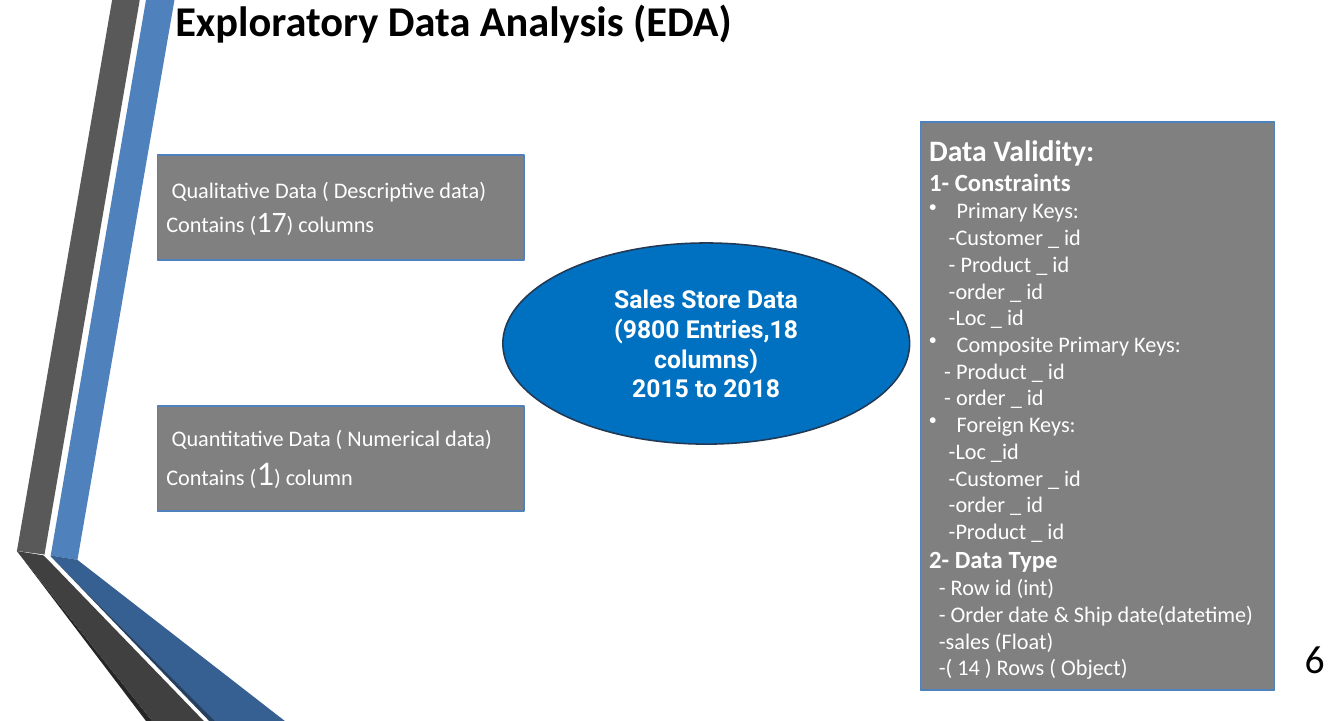
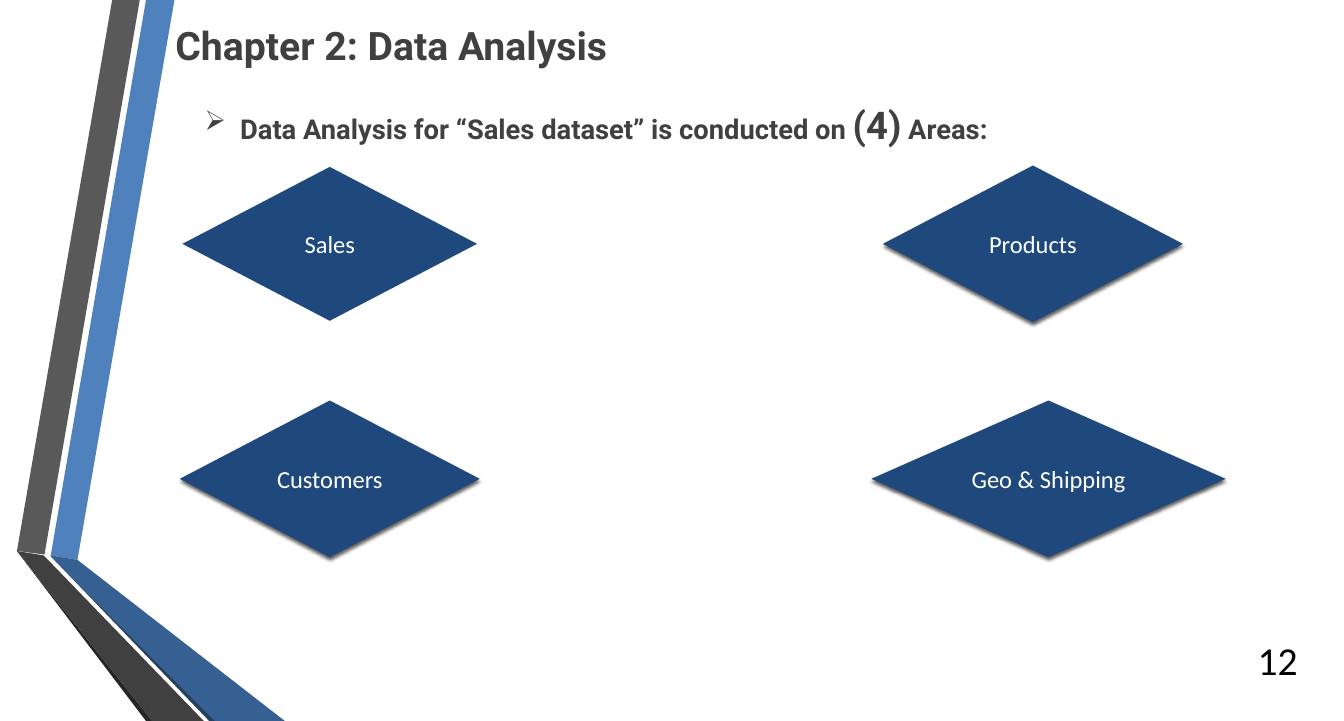
"""Build two slides on exploring and analysing a sales store dataset."""
from lxml.etree import SubElement
from pptx import Presentation
from pptx.dml.color import RGBColor
from pptx.enum.shapes import MSO_SHAPE
from pptx.enum.text import MSO_ANCHOR, PP_ALIGN
from pptx.oxml.ns import qn
from pptx.util import Inches, Pt

COLUMNS, ROWS = 151, 81
WHITE, BLACK, CHARCOAL = "FFFFFF", "000000", "404040"
GREY, BLUE, NAVY = "808080", "4F81BD", "1F497D"

RIBBONS = [
    (BLUE, [(5.7, 62.4), (8.7, 62.9), (19.6, 0), (16.4, 0)]),
    ("595959", [(15.7, 0), (12.6, 0), (1.9, 61.9), (5, 62.3)]),
    ("262626", [(1.9, 61.9), (16.4, ROWS), (17.1, ROWS)]),
    ("254061", [(5.7, 62.5), (23.5, ROWS), (24.2, ROWS)]),
    ("376092", [(5.7, 62.5), (24.2, ROWS), (32, ROWS), (8.7, 62.9), (5.7, 62.4)]),
    (CHARCOAL, [(22.9, ROWS), (5.5, 63), (4.9, 62.4), (1.9, 61.9), (17.1, ROWS)]),
]

VALIDITY_STYLES = {
    "title": dict(size=24, bold=True),
    "heading": dict(size=20, bold=True),
    "key": dict(margin=3.1, indent=-3.1, bullet="•"),
    "column": dict(margin=2.2),
    "part": dict(margin=1.7),
    "type": dict(margin=1.1),
}

VALIDITY = [
    ("title", ["Data Validity:"]),
    ("heading", ["1- Constraints"]),
    ("key", ["Primary Keys:"]),
    ("column", ["-Customer _ id", "- Product _ id", "-order _ id", "-Loc _ id"]),
    ("key", ["Composite Primary Keys:"]),
    ("part", ["- Product _ id", "- order _ id"]),
    ("key", ["Foreign Keys:"]),
    ("column", ["-Loc _id", "-Customer _ id", "-order _ id", "-Product _ id"]),
    ("heading", ["2- Data Type"]),
    ("type", ["- Row id (int)", "- Order date & Ship date(datetime)",
              "-sales (Float)", "-( 14 ) Rows ( Object)"]),
]

DATA_KINDS = [
    (17.4, "Qualitative Data ( Descriptive data) Contains (", "17", 24, ") columns"),
    (45.6, "Quantitative Data ( Numerical data) Contains (", "1", 28, ") column"),
]

AREAS = [
    ("Sales", 20.2, 18.6, 33.7, False),
    ("Customers", 20.2, 45, 33.7, True),
    ("Products", 99.2, 18.6, 33.7, True),
    ("Geo & Shipping", 97.9, 45, 39.8, True),
]


def grid(cells):
    """Turn grid columns or rows into a length."""
    return Inches(cells / 10)


def rgb(value):
    """Turn a hex string into a colour."""
    return RGBColor.from_string(value)


def write(frame, text, *, size=18, font="Calibri", color=WHITE, bold=False,
          align=PP_ALIGN.LEFT, margin=0, indent=0, bullet=None, join=False):
    """Add a formatted paragraph, or join a run to the last one."""
    paragraph = frame.paragraphs[-1]
    if not join:
        if paragraph.runs:
            paragraph = frame.add_paragraph()
        paragraph.alignment = align
        properties = paragraph._p.get_or_add_pPr()
        properties.set("marL", str(grid(margin)))
        properties.set("indent", str(grid(indent)))
        if bullet:
            SubElement(properties, qn("a:buChar"), char=bullet)
    run = paragraph.add_run()
    run.text = text
    run.font.size = Pt(size)
    run.font.name = font
    run.font.bold = bold
    run.font.color.rgb = rgb(color)


class Deck:
    """Hold the shared style and the current slide."""

    def __init__(self):
        """Start an empty presentation."""
        self.presentation = Presentation()
        self.presentation.slide_width = grid(COLUMNS)
        self.presentation.slide_height = grid(ROWS)
        self.slide = None

    def start(self, title, box, number, number_box, **style):
        """Open a slide with its title, ribbons and number."""
        layout = self.presentation.slide_layouts[5]
        self.slide = self.presentation.slides.add_slide(layout)
        heading = self.slide.shapes.title
        heading.left, heading.top, heading.width, heading.height = map(grid, box)
        frame = heading.text_frame
        frame.margin_left = frame.margin_top = frame.margin_bottom = 0
        frame.vertical_anchor = MSO_ANCHOR.MIDDLE
        write(frame, title, bold=True, **style)
        for color, points in RIBBONS:
            self.ribbon(color, points)
        footer = self.text(number_box, MSO_ANCHOR.MIDDLE)
        write(footer, number, size=32, color=BLACK, align=PP_ALIGN.RIGHT)

    def ribbon(self, color, points):
        """Draw one filled piece of the side ribbon."""
        start, *others = [(grid(x), grid(y)) for x, y in points]
        builder = self.slide.shapes.build_freeform(*start)
        builder.add_line_segments(others, close=True)
        self.paint(builder.convert_to_shape(), color)

    def paint(self, shape, fill, line=None, width=1.25):
        """Set fill and outline and drop the default shadow."""
        shape.fill.solid()
        shape.fill.fore_color.rgb = rgb(fill)
        if line:
            shape.line.color.rgb = rgb(line)
            shape.line.width = Pt(width)
        else:
            shape.line.fill.background()
        shape.shadow.inherit = False

    def text(self, box, anchor=MSO_ANCHOR.TOP):
        """Add a wrapping text box and return its frame."""
        frame = self.slide.shapes.add_textbox(*map(grid, box)).text_frame
        frame.word_wrap = True
        frame.vertical_anchor = anchor
        return frame

    def block(self, kind, box, fill, line=None, width=1.25, shadow=False):
        """Add a preset shape and return its text frame."""
        shape = self.slide.shapes.add_shape(kind, *map(grid, box))
        self.paint(shape, fill, line, width)
        if shadow:
            effects = shape._element.spPr.find(qn("a:effectLst"))
            cast = SubElement(effects, qn("a:outerShdw"), blurRad=str(Pt(3)),
                              dist=str(Pt(2)), dir="5400000", rotWithShape="0")
            tint = SubElement(cast, qn("a:srgbClr"), val=BLACK)
            SubElement(tint, qn("a:alpha"), val="64000")
        frame = shape.text_frame
        frame.word_wrap = True
        frame.vertical_anchor = MSO_ANCHOR.MIDDLE
        return frame


def exploration(deck):
    """Build the slide on exploratory data analysis."""
    deck.start("Exploratory Data Analysis (EDA)", (19.7, 0, 120, 4.4),
               "6", (140.6, 71.7, 9.2, 4.3), size=34.3, color=BLACK)
    store = deck.block(MSO_SHAPE.OVAL, (56.5, 27.3, 45.7, 22.6), "0070C0", "233953")
    for line in ("Sales Store Data", "(9800 Entries,18 columns)", "2015 to 2018"):
        write(store, line, size=20, font="Roboto", bold=True, align=PP_ALIGN.CENTER)
    for top, opening, count, count_size, closing in DATA_KINDS:
        data_kind = deck.block(MSO_SHAPE.RECTANGLE, (17.7, top, 41.2, 11.8), GREY, BLUE)
        write(data_kind, opening, indent=0.6)
        write(data_kind, count, size=count_size, join=True)
        write(data_kind, closing, join=True)
    validity = deck.block(MSO_SHAPE.RECTANGLE, (103.4, 13.7, 39.8, 63.8), GREY, BLUE)
    for style, lines in VALIDITY:
        for line in lines:
            write(validity, line, **VALIDITY_STYLES[style])


def analysis(deck):
    """Build the slide on the four areas of analysis."""
    deck.start("Chapter 2: Data Analysis", (19.7, 2, 120, 6),
               "12", (137.7, 72, 9.1, 4.3), size=31.7, font="Roboto", color=CHARCOAL)
    intro = deck.text((22, 10.9, 110, 6))
    style = dict(font="Roboto", color=CHARCOAL, bold=True)
    write(intro, "Data Analysis for “Sales dataset” is conducted on ", size=22.1,
          margin=4, indent=-4, bullet="➢", **style)
    write(intro, "(4)", size=30.9, join=True, **style)
    write(intro, " Areas:", size=22.1, join=True, **style)
    for name, left, top, width, raised in AREAS:
        area = deck.block(MSO_SHAPE.FLOWCHART_DECISION, (left, top, width, 17.6), NAVY,
                          None if raised else WHITE, 1.75, raised)
        write(area, name, size=19.8, align=PP_ALIGN.CENTER)


def main():
    """Build both slides and save them."""
    deck = Deck()
    exploration(deck)
    analysis(deck)
    deck.presentation.save("out.pptx")


if __name__ == "__main__":
    main()
